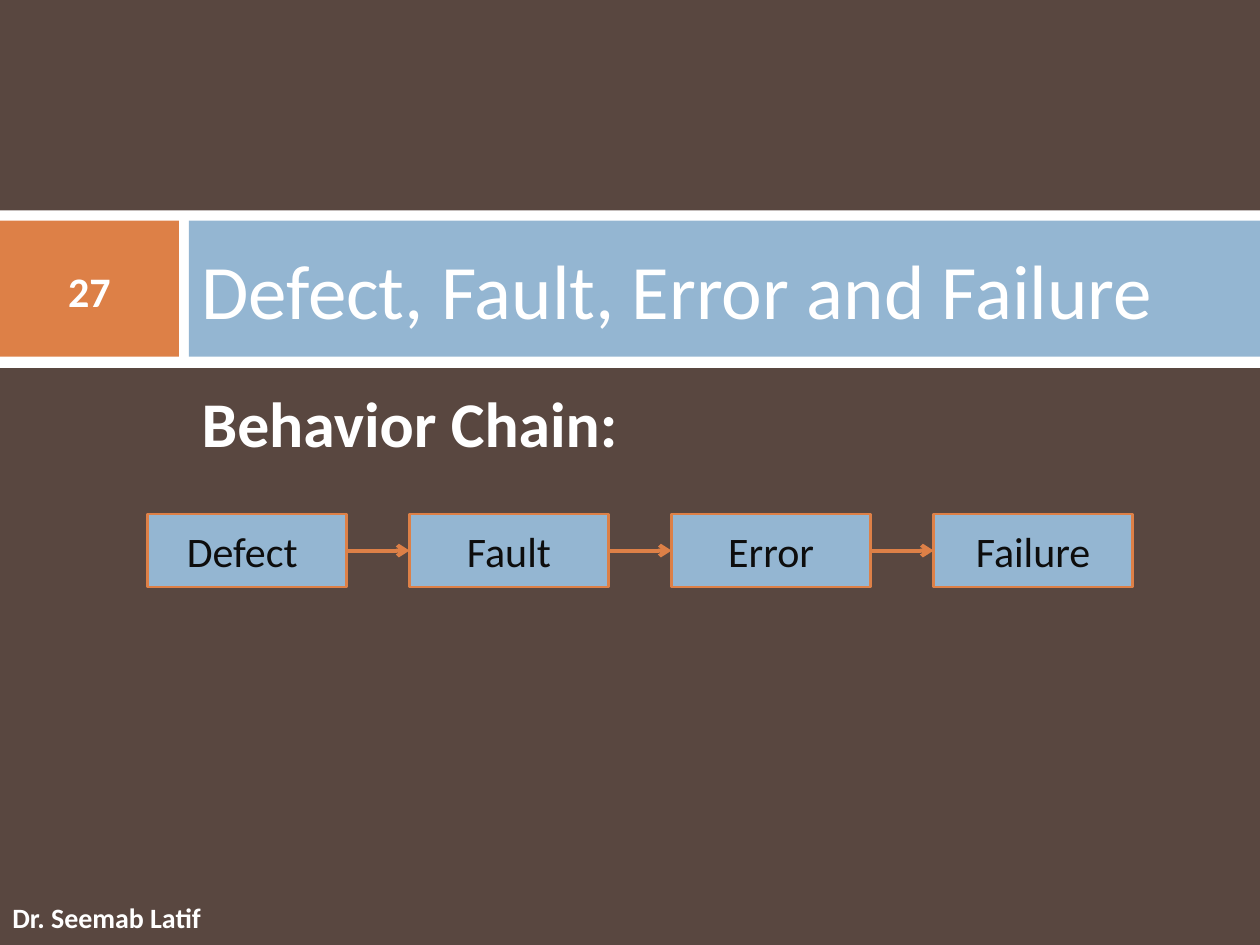
from itertools import pairwise

from lxml import etree
from pptx import Presentation
from pptx.dml.color import RGBColor
from pptx.enum.shapes import MSO_CONNECTOR, MSO_SHAPE
from pptx.enum.text import MSO_ANCHOR, MSO_AUTO_SIZE, PP_ALIGN
from pptx.oxml.ns import qn
from pptx.util import Inches, Pt

RECTANGLE = MSO_SHAPE.RECTANGLE
STRAIGHT = MSO_CONNECTOR.STRAIGHT
MIDDLE, TOP = MSO_ANCHOR.MIDDLE, MSO_ANCHOR.TOP
LEFT, CENTER = PP_ALIGN.LEFT, PP_ALIGN.CENTER
NO_AUTOFIT = MSO_AUTO_SIZE.NONE
LEFT_SIDE, RIGHT_SIDE = 1, 3


class SlideBuilder:
    font = "Calibri"
    colors = {
        "brown": "594740",
        "white": "FFFFFF",
        "orange": "DD8047",
        "blue": "94B6D2",
        "ink": "0D0D0D",
    }

    def __init__(self, slide):
        self.slide = slide
        self.shapes = slide.shapes
        background = slide.background.fill
        background.solid()
        background.fore_color.rgb = self.color("brown")

    def color(self, name):
        return RGBColor.from_string(self.colors[name])

    def add_text(self, frame, text, size, color="white", bold=False, align=LEFT, anchor=MIDDLE):
        frame.word_wrap = True
        frame.auto_size = NO_AUTOFIT
        frame.vertical_anchor = anchor
        paragraph = frame.paragraphs[0]
        paragraph.alignment = align
        run = paragraph.add_run()
        run.text = text
        run.font.name = self.font
        run.font.size = Pt(size)
        run.font.bold = bold
        run.font.color.rgb = self.color(color)
        return paragraph

    def place(self, placeholder, left, top, width, height):
        placeholder.left, placeholder.top = Inches(left), Inches(top)
        placeholder.width, placeholder.height = Inches(width), Inches(height)
        self.shapes._spTree.append(placeholder._element)

    def title(self, text, *box):
        heading = self.shapes.title
        self.place(heading, *box)
        self.add_text(heading.text_frame, text, 44)

    def body(self, text, *box):
        content = self.slide.placeholders[1]
        self.place(content, *box)
        paragraph = self.add_text(content.text_frame, text, 36.4, bold=True, anchor=TOP)
        paragraph.space_before = Pt(0)
        properties = paragraph._p.get_or_add_pPr()
        properties.set("marL", "0")
        properties.set("indent", "0")
        etree.SubElement(properties, qn("a:buNone"))

    def label(self, text, size, align, *box):
        frame = self.shapes.add_textbox(*map(Inches, box)).text_frame
        self.add_text(frame, text, size, bold=True, align=align)

    def band(self, fill, *box):
        rectangle = self.shapes.add_shape(RECTANGLE, *map(Inches, box))
        rectangle.shadow.inherit = False
        rectangle.fill.solid()
        rectangle.fill.fore_color.rgb = self.color(fill)
        rectangle.line.fill.background()
        return rectangle

    def stage(self, text, *box):
        rectangle = self.band("blue", *box)
        rectangle.line.color.rgb = self.color("orange")
        rectangle.line.width = Pt(1.5)
        self.add_text(rectangle.text_frame, text, 24, "ink", align=CENTER)
        return rectangle

    def arrow(self, source, target):
        connector = self.shapes.add_connector(STRAIGHT, 0, 0, 0, 0)
        connector.begin_connect(source, RIGHT_SIDE)
        connector.end_connect(target, LEFT_SIDE)
        connector.line.color.rgb = self.color("orange")
        connector.line.width = Pt(2.25)
        etree.SubElement(connector.line._get_or_add_ln(), qn("a:tailEnd"), type="arrow")
        etree.SubElement(connector._element.spPr, qn("a:effectLst"))


def main():
    presentation = Presentation()
    presentation.slide_width = Inches(10)
    presentation.slide_height = Inches(7.5)
    builder = SlideBuilder(presentation.slides.add_slide(presentation.slide_layouts[1]))

    builder.band("white", 0, 1.67, 10, 1.25)
    builder.band("orange", 0, 1.75, 1.42, 1.08)
    builder.band("blue", 1.5, 1.75, 8.5, 1.08)
    builder.body("Behavior Chain:", 1.5, 3, 3.58, 0.83)
    builder.title("Defect, Fault, Error and Failure", 1.5, 1.75, 8.33, 1.08)
    builder.label("27", 24, CENTER, 0, 1.92, 1.42, 0.77)

    chain = ["Defect ", "Fault", "Error", "Failure"]
    first_left, pitch = 1.17, 2.08
    stages = [
        builder.stage(name, first_left + pitch * position, 4.08, 1.58, 0.58)
        for position, name in enumerate(chain)
    ]
    for source, target in pairwise(stages):
        builder.arrow(source, target)

    builder.label("Dr. Seemab Latif", 16, LEFT, 0, 7.08, 1.83, 0.4)
    presentation.save("out.pptx")


if __name__ == "__main__":
    main()
